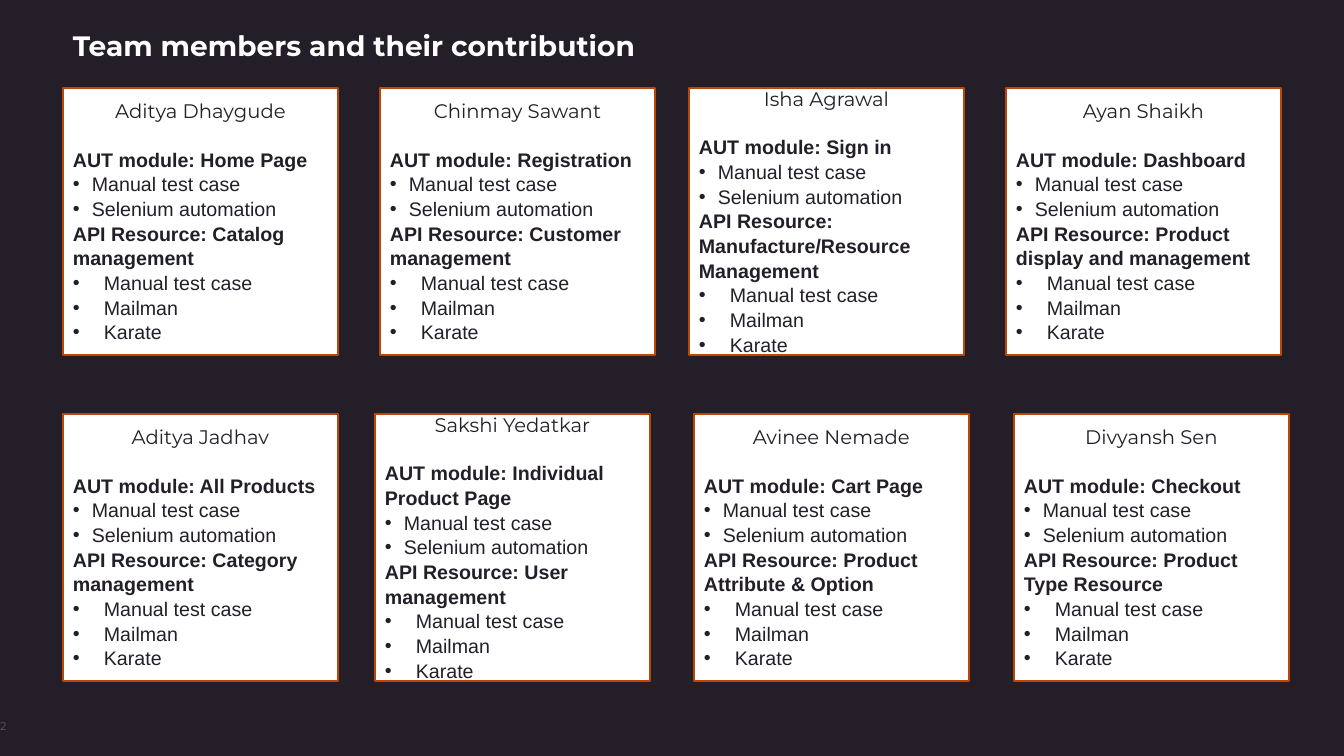
from lxml import etree
from pptx import Presentation
from pptx.dml.color import RGBColor
from pptx.enum.shapes import MSO_SHAPE
from pptx.enum.text import MSO_ANCHOR, PP_ALIGN
from pptx.oxml.ns import qn
from pptx.util import Emu, Pt

RECTANGLE = MSO_SHAPE.RECTANGLE
MIDDLE = MSO_ANCHOR.MIDDLE
LEFT, CENTER = PP_ALIGN.LEFT, PP_ALIGN.CENTER

DARK = RGBColor(0x23, 0x1E, 0x28)
WHITE = RGBColor(0xFF, 0xFF, 0xFF)
ORANGE = RGBColor(0xBB, 0x46, 0x05)
GREY = RGBColor(0x94, 0x90, 0x9C)

HEADING_FONT, BODY_FONT = "Montserrat", "Arial"
PAGE_WIDTH, PAGE_HEIGHT = 1344, 756
EMU_PER_PX = 12192000 / PAGE_WIDTH
CARD_WIDTH, CARD_HEIGHT = 275, 267

MODULE_TASKS = ["Manual test case", "Selenium automation"]
RESOURCE_TASKS = ["Manual test case", "Mailman", "Karate"]

# Each row: top, then (left, member, module, resource) for each card
ROWS = [
    (88, [
        (63, "Aditya Dhaygude", "Home Page", "Catalog management"),
        (380, "Chinmay Sawant", "Registration", "Customer management"),
        (689, "Isha Agrawal", "Sign in", "Manufacture/Resource Management"),
        (1006, "Ayan Shaikh", "Dashboard", "Product display and management"),
    ]),
    (414, [
        (63, "Aditya Jadhav", "All Products", "Category management"),
        (375, "Sakshi Yedatkar", "Individual Product Page", "User management"),
        (694, "Avinee Nemade", "Cart Page", "Product Attribute & Option"),
        (1014, "Divyansh Sen", "Checkout", "Product Type Resource"),
    ]),
]


def px(length):
    return Emu(round(length * EMU_PER_PX))


def next_paragraph(frame):
    """Use the empty first paragraph of a frame, then append new ones."""
    first = frame.paragraphs[0]
    return frame.add_paragraph() if first.runs else first


def add_text(frame, text, size=14, font=BODY_FONT, color=DARK, bold=False,
             align=LEFT, line_spacing=1.0, space_after=0, bullet_indent=0):
    para = next_paragraph(frame)
    para.alignment = align
    para.line_spacing = line_spacing
    para.space_after = Pt(space_after)
    span = para.add_run()
    span.text = text
    span.font.size = Pt(size)
    span.font.name = font
    span.font.bold = bold
    span.font.color.rgb = color
    if bullet_indent:
        add_bullet(para, bullet_indent)
    return span


def add_bullet(para, indent):
    properties = para._p.get_or_add_pPr()
    properties.set("marL", str(px(indent)))
    properties.set("indent", str(-px(indent)))
    etree.SubElement(properties, qn("a:buFont"), typeface=BODY_FONT)
    etree.SubElement(properties, qn("a:buChar"), char="•")


def add_title(page, text):
    box = page.shapes.add_textbox(px(63), px(24), px(1219), px(44))
    box.text_frame.word_wrap = True
    add_text(box.text_frame, text, size=20, font=HEADING_FONT, color=WHITE,
             bold=True)


def add_page_number(page, text):
    box = page.shapes.add_textbox(px(0), px(696), px(14), px(60))
    frame = box.text_frame
    frame.word_wrap = False
    frame.vertical_anchor = MIDDLE
    frame.margin_left = frame.margin_right = 0
    frame.margin_top = frame.margin_bottom = 0
    span = add_text(frame, text, size=8, font=HEADING_FONT, color=GREY)
    color = span._r.find(".//" + qn("a:srgbClr"))
    etree.SubElement(color, qn("a:alpha"), val="50000")


def add_section(frame, heading, tasks, indent):
    add_text(frame, heading, bold=True, line_spacing=1.05)
    for task in tasks:
        add_text(frame, task, line_spacing=1.05, bullet_indent=indent)


def add_card(page, left, top, member, module, resource):
    card = page.shapes.add_shape(RECTANGLE, px(left), px(top),
                                 px(CARD_WIDTH), px(CARD_HEIGHT))
    card.shadow.inherit = False
    card.fill.solid()
    card.fill.fore_color.rgb = WHITE
    card.line.color.rgb = ORANGE
    card.line.width = Pt(1)

    frame = card.text_frame
    frame.word_wrap = True
    frame.vertical_anchor = MIDDLE
    frame.margin_top = frame.margin_bottom = 0
    add_text(frame, member, font=HEADING_FONT, align=CENTER, space_after=17)
    add_section(frame, f"AUT module: {module}", MODULE_TASKS, 19)
    add_section(frame, f"API Resource: {resource}", RESOURCE_TASKS, 31)


def main():
    deck = Presentation()
    deck.slide_width, deck.slide_height = px(PAGE_WIDTH), px(PAGE_HEIGHT)
    page = deck.slides.add_slide(deck.slide_layouts[6])
    page.background.fill.solid()
    page.background.fill.fore_color.rgb = DARK

    # Page number and title
    add_page_number(page, "2")
    add_title(page, "Team members and their contribution")

    # Member cards
    for top, members in ROWS:
        for left, member, module, resource in members:
            add_card(page, left, top, member, module, resource)

    deck.save("out.pptx")


if __name__ == "__main__":
    main()
